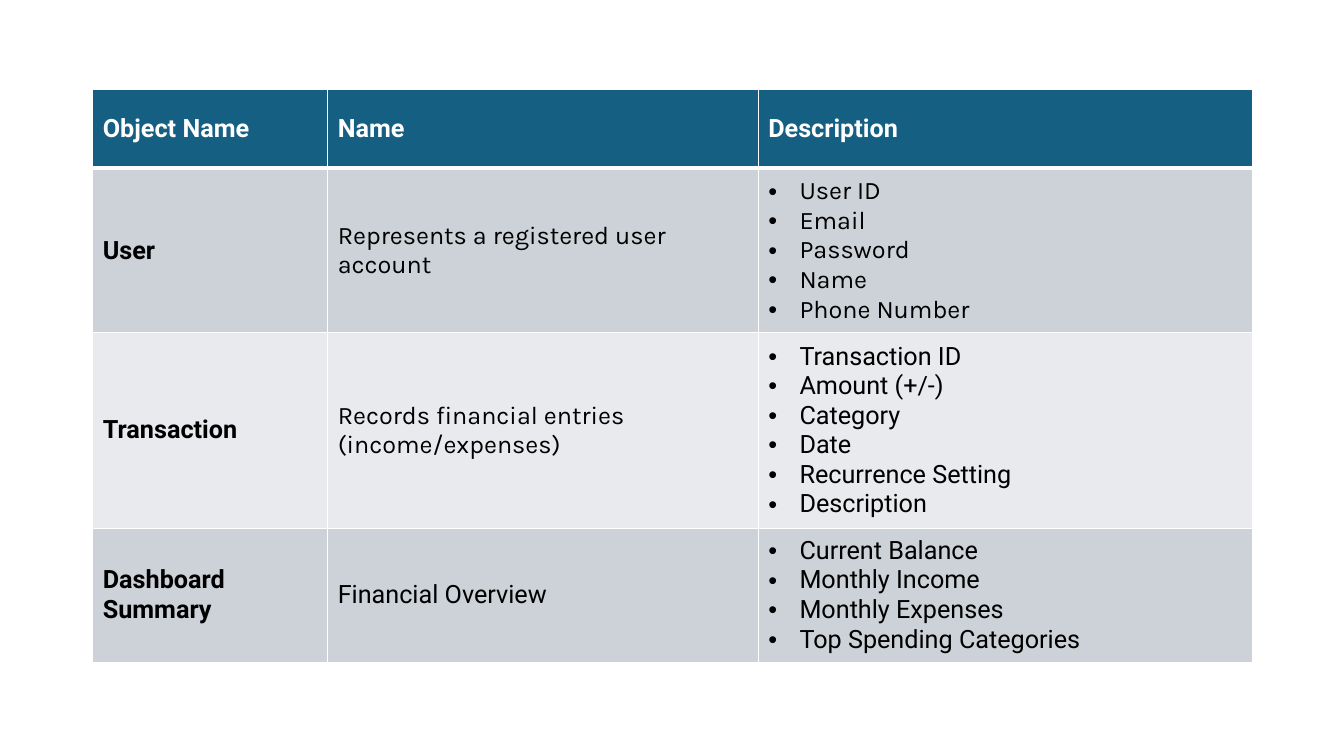
from lxml.etree import SubElement
from pptx import Presentation
from pptx.dml.color import RGBColor
from pptx.enum.text import MSO_ANCHOR as Anchor
from pptx.oxml.ns import qn
from pptx.util import Inches, Pt

WHITE, BLACK = "FFFFFF", "000000"
HEADER_FILL, DARK_BAND, LIGHT_BAND = "156082", "CCD2D8", "E8EAED"
COLUMN_WIDTHS = [2.33, 4.27, 4.9]
ROW_HEIGHTS = [0.78, 1.63, 1.94, 1.33]
BULLET_INDENT = 0.31

HEADINGS = ["Object Name", "Name", "Description"]
# Object name, meaning, font of the meaning, fields, font of the fields
OBJECTS = [
    ("User", "Represents a registered user account", "Karla",
     ["User ID", "Email", "Password", "Name", "Phone Number"], "Karla"),
    ("Transaction", "Records financial entries (income/expenses)", "Karla",
     ["Transaction ID", "Amount (+/-)", "Category", "Date",
      "Recurrence Setting", "Description"], "Roboto"),
    ("Dashboard Summary", "Financial Overview", "Roboto",
     ["Current Balance", "Monthly Income", "Monthly Expenses",
      "Top Spending Categories"], "Roboto"),
]


def color(hex_value):
    return RGBColor.from_string(hex_value)


def set_borders(cell, top=1, bottom=1):
    """Draw white borders; call before the fill, which must follow them."""
    properties = cell._tc.get_or_add_tcPr()
    for side, width in {"L": 1, "R": 1, "T": top, "B": bottom}.items():
        line = SubElement(properties, qn(f"a:ln{side}"), w=str(Pt(width)))
        fill = SubElement(line, qn("a:solidFill"))
        SubElement(fill, qn("a:srgbClr"), val=WHITE)


def set_bullet(paragraph):
    properties = paragraph._p.get_or_add_pPr()
    indent = Inches(BULLET_INDENT)
    properties.set("marL", str(indent))
    properties.set("indent", str(-indent))
    SubElement(properties, qn("a:buFont"), typeface="Arial")
    SubElement(properties, qn("a:buChar"), char="•")


def fill_cell(cell, lines, fill, font="Roboto", bold=False,
              text_color=BLACK, bulleted=False):
    cell.vertical_anchor = Anchor.MIDDLE
    cell.fill.solid()
    cell.fill.fore_color.rgb = color(fill)
    cell.text = "\n".join(lines)
    font_format = {"name": font, "size": Pt(18), "bold": bold}
    for paragraph in cell.text_frame.paragraphs:
        if bulleted:
            set_bullet(paragraph)
        run_font = paragraph.runs[0].font
        for attribute, value in font_format.items():
            setattr(run_font, attribute, value)
        run_font.color.rgb = color(text_color)


def add_object_table(slide):
    frame = slide.shapes.add_table(
        len(ROW_HEIGHTS), len(COLUMN_WIDTHS), Inches(0.92), Inches(0.89),
        Inches(sum(COLUMN_WIDTHS)), Inches(sum(ROW_HEIGHTS)))
    table = frame.table
    for column, width in zip(table.columns, COLUMN_WIDTHS):
        column.width = Inches(width)
    for index, (row, height) in enumerate(zip(table.rows, ROW_HEIGHTS)):
        row.height = Inches(height)
        for cell in row.cells:
            set_borders(cell, top=3 if index == 1 else 1,
                        bottom=3 if index == 0 else 1)
    return table


def main():
    presentation = Presentation()
    presentation.slide_width = Inches(13.33)
    presentation.slide_height = Inches(7.5)
    slide = presentation.slides.add_slide(presentation.slide_layouts[6])

    table = add_object_table(slide)
    for column, heading in enumerate(HEADINGS):
        fill_cell(table.cell(0, column), [heading], HEADER_FILL,
                  bold=True, text_color=WHITE)
    for row, entry in enumerate(OBJECTS, start=1):
        name, meaning, meaning_font, fields, field_font = entry
        band = DARK_BAND if row % 2 else LIGHT_BAND
        fill_cell(table.cell(row, 0), [name], band, bold=True)
        fill_cell(table.cell(row, 1), [meaning], band, font=meaning_font)
        fill_cell(table.cell(row, 2), fields, band, font=field_font,
                  bulleted=True)

    presentation.save("out.pptx")


if __name__ == "__main__":
    main()
